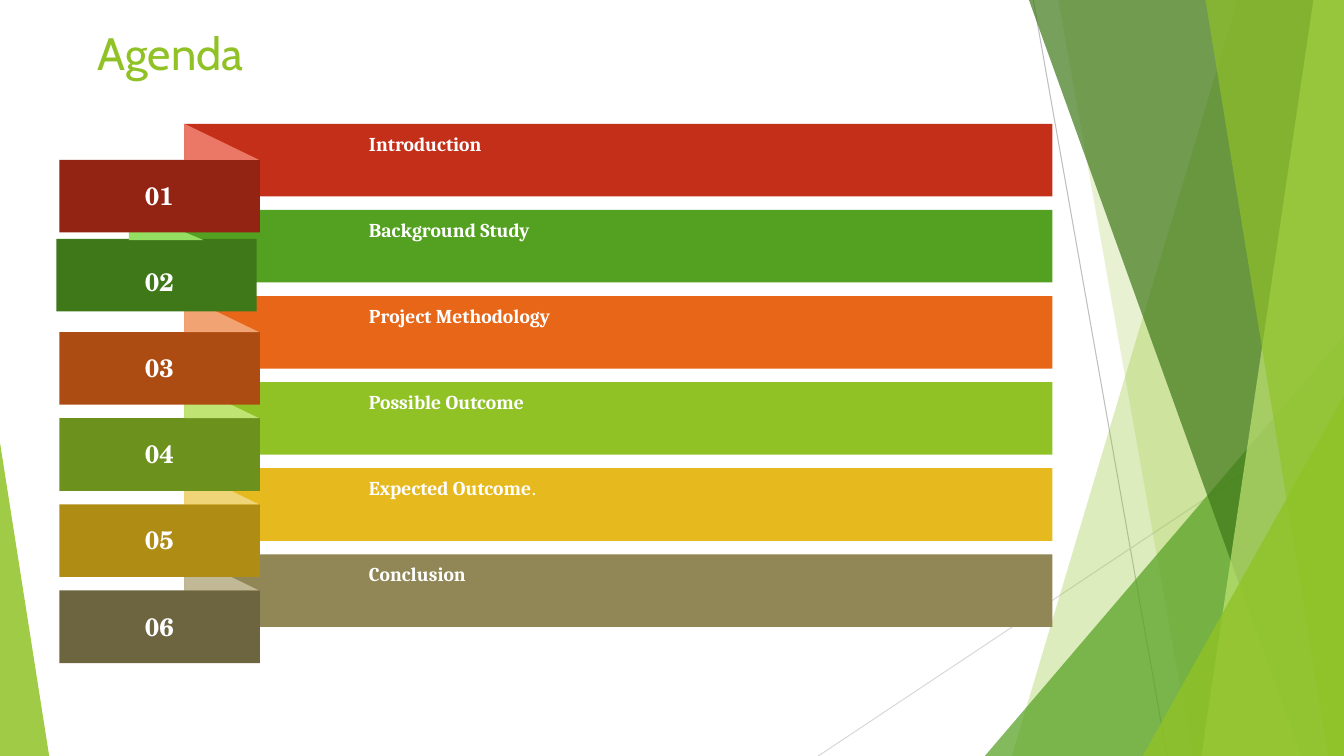
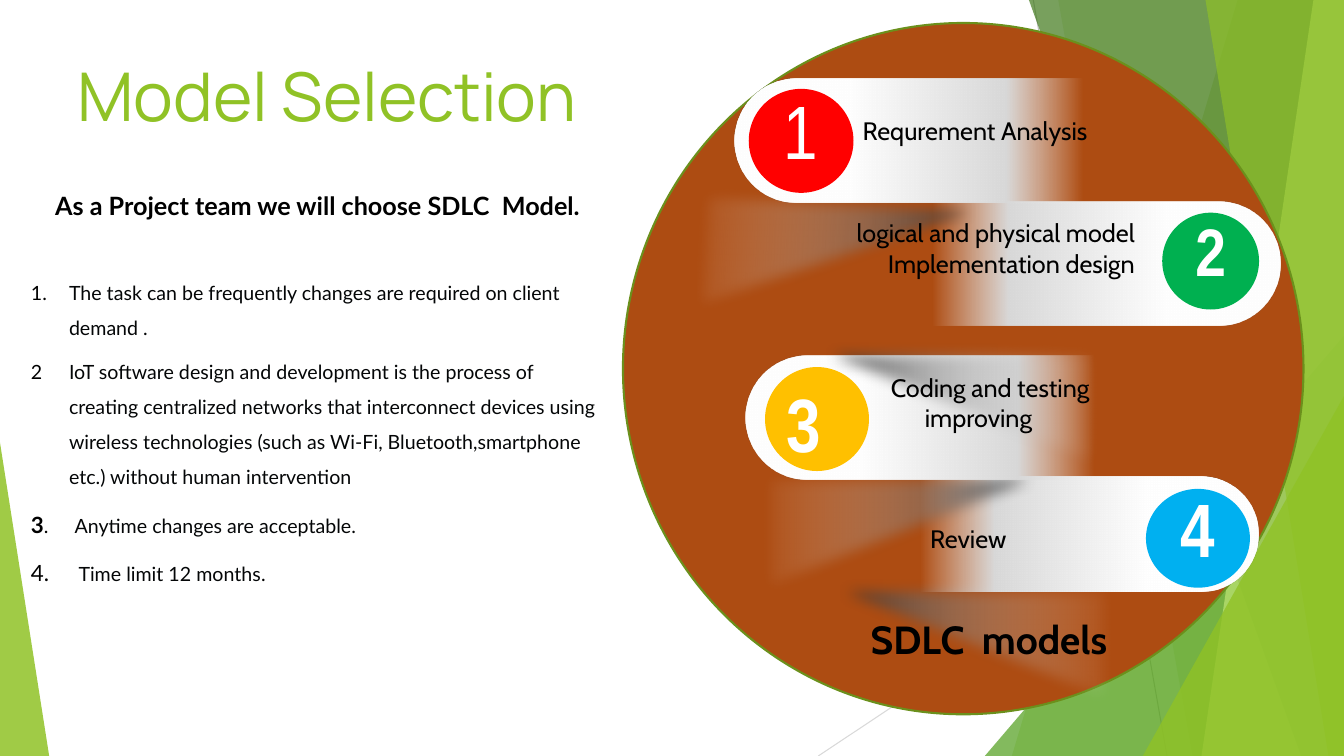
import pptx
import pptx.util
import pptx.oxml
import pptx.oxml.ns
import pptx.dml.color
import pptx.enum.shapes
import pptx.enum.text

Cm, Pt = pptx.util.Cm, pptx.util.Pt
SHAPE = pptx.enum.shapes.MSO_SHAPE
ALIGN = pptx.enum.text.PP_ALIGN
ANCHOR = pptx.enum.text.MSO_ANCHOR
qn = pptx.oxml.ns.qn
W, H = 33.87, 19.05

COLORS = {
    "lime": "90C226", "green": "54A021", "forest": "3F7819", "pale": "C0E474",
    "rust": "AD4C12", "olive": "6B901C", "white": "FFFFFF", "black": "000000",
    "ink": "040607", "grey": "BFBFBF", "light_grey": "D9D9D9", "mist": "F0F0F0",
    "red": "FF0000", "amber": "FFC000", "emerald": "00B050", "sky": "00B0F0",
}

# Shared backdrop: lines, then facets from back to front
RAYS = [(26.04, 0, 29.41, H, "grey"), (W, 10.24, 20.62, H, "light_grey")]
FACETS = [  # band: left x at top and bottom; triangle: box and apex
    ("band", (31.19, 25.5), "lime", 30),
    ("band", (26.67, 30.05), "lime", 20),
    ("triangle", (24.82, 8.46, 9.05, 10.59, 1), "green", 72),
    ("band", (25.93, 32.79), "forest", 70),
    ("band", (33.1, 30.28), "pale", 70),
    ("band", (30.38, 33.48), "lime", 65),
    ("triangle", (28.8, 9.98, 5.07, 9.07, 1), "lime", 80),
    ("triangle", (0, 11.15, 1.24, 7.9, 0), "lime", 85),
]

# Slide 1: label runs, bar, tab and fold colours
AGENDA = [
    ("Introduction", "C42F1A", "932313", "EB7766"),
    ("Background Study", "54A021", "3F7819", "94DE61"),
    ("Project Methodology", "E76618", "AD4C12", "F1A374"),
    ("Possible Outcome", "90C226", "6C921D", "C0E474"),
    ("Expected Outcome.", "E6B91E", "AF8C14", "F0D578"),
    ("Conclusion", "918655", "6D6540", "C1B995"),
]
ROW_TOP, ROW_PITCH, ROW_H = 3.12, 2.17, 1.83
TAB = (1.5, 0.91)  # left, offset from the bar top
FOLD = (4.65, 0, 1.88, 0.91)
SHIFTED = {1: ((1.42, 0.73), (3.25, -0.03, 1.88, 0.79))}

# Slide 2: steps of the model
STEPS = [
    {"pill": (18.52, 1.98, 8.76, 3.12), "side": "left", "shade": (17.37, 4.85, 3.2),
     "disc": (18.87, 2.24, 2.64, 2.62), "color": "red", "size": 54, "bold": False,
     "insets": (0, 0, 0, 0.56), "label": (21.49, 2.79, 8.28, 1.02),
     "lines": ["Requrement Analysis"]},
    {"pill": (23.5, 5.08, 8.76, 3.12), "side": "right", "shade": (18.92, 8.61, 0),
     "disc": (29.29, 5.36, 2.44, 2.44), "color": "emerald", "size": 48, "bold": True,
     "insets": (0, 0, 0, 0.56), "label": (20.62, 5.36, 8.23, 1.8), "align": ALIGN.RIGHT,
     "lines": ["logical and physical model", "Implementation design"]},
    {"pill": (18.8, 8.97, 8.76, 3.12), "side": "left", "shade": (19, 11.76, 0),
     "disc": (19.28, 9.25, 2.62, 2.62), "color": "amber", "size": 54, "bold": True,
     "insets": (0, 0.16, 0.66, 0), "label": (22.2, 9.25, 7.85, 1.8), "indent": 0.86,
     "lines": ["Coding and testing", "improving"]},
    {"pill": (23.19, 12.01, 8.53, 2.9), "side": "right", "shade": (19.28, 14.58, 0),
     "disc": (28.88, 12.32, 2.62, 2.49), "color": "sky", "size": 54, "bold": True,
     "insets": (0, 0, 0, 0.56), "label": (23.19, 13.06, 3.99, 1.02),
     "lines": ["Review"]},
]
PILL_STOPS = [(33, "white", 100), (78, "light_grey", 100), (100, "mist", 0)]
SHADE_STOPS = [(0, "white", 0), (95, "black", 100)]

BODY = {"name": "Lato", "size": 14, "color": "ink"}
MARK = BODY | {"size": 16, "color": "black"}
# Hanging indent, automatic number (type, start) and runs
REASONS = [
    (0.96, ("arabicPeriod", 1),
     [("The task can be frequently changes are required on client demand .", BODY)]),
    (0.96, ("arabicPlain", 2),
     [("IoT software design and development is the process of creating centralized "
       "networks that interconnect devices using wireless technologies (such as Wi-Fi, "
       "Bluetooth,smartphone etc.) without human intervention", BODY)]),
    (1.1, None, [("3", MARK | {"bold": True}), (".\t", BODY | {"color": "black"}),
                 ("Anytime changes are acceptable.", BODY)]),
    (1.2, None, [("4.\t", MARK), ("Time limit 12 months", BODY),
                 (".", BODY | {"color": "black"})]),
]


# Helpers
def rgb(color):
    return pptx.dml.color.RGBColor.from_string(COLORS.get(color, color))


def box(values):
    return [Cm(v) for v in values]


def add_run(p, text, fmt):
    r = p.add_run()
    r.text = text
    for key, value in fmt.items():
        if key == "color":
            r.font.color.rgb = rgb(value)
        else:
            setattr(r.font, key, Pt(value) if key == "size" else value)


def set_insets(tf, insets):
    for side, value in zip(("left", "top", "right", "bottom"), insets):
        setattr(tf, "margin_" + side, Cm(value))


def paint(sp, color, alpha=100):
    sp.shadow.inherit = False
    sp.line.fill.background()
    sp.fill.solid()
    sp.fill.fore_color.rgb = rgb(color)
    if alpha < 100:
        srgb = sp._element.spPr.find(".//" + qn("a:srgbClr"))
        srgb.makeelement(qn("a:alpha"))
        pptx.oxml.xmlchemy.OxmlElement  # element factory is loaded with pptx.oxml
        srgb.append(srgb.makeelement(qn("a:alpha"), {"val": str(alpha * 1000)}))
    return sp


def add_shape(s, kind, area, color, alpha=100):
    return paint(s.shapes.add_shape(kind, *box(area)), color, alpha)


def paint_gradient(sp, stops, angle):
    stop_xml = "".join(
        f'<a:gs pos="{pos * 1000}"><a:srgbClr val="{COLORS[color]}">'
        f'<a:alpha val="{alpha * 1000}"/></a:srgbClr></a:gs>'
        for pos, color, alpha in stops)
    grad = pptx.oxml.parse_xml(
        f'<a:gradFill {pptx.oxml.ns.nsdecls("a")} rotWithShape="1"><a:gsLst>{stop_xml}'
        f'</a:gsLst><a:lin ang="{angle * 60000}" scaled="0"/></a:gradFill>')
    spPr = sp._element.spPr
    spPr.replace(spPr.find(qn("a:solidFill")), grad)


def add_text(s, area, lines, fmt, align=ALIGN.LEFT, insets=None):
    tf = s.shapes.add_textbox(*box(area)).text_frame
    tf.word_wrap = True
    if insets:
        set_insets(tf, insets)
    for i, line in enumerate(lines):
        p = tf.paragraphs[0] if i == 0 else tf.add_paragraph()
        p.alignment = align
        add_run(p, line, fmt)
    return tf


def add_backdrop(s):
    for x1, y1, x2, y2, color in RAYS:
        ray = s.shapes.add_connector(pptx.enum.shapes.MSO_CONNECTOR.STRAIGHT,
                                     *box((x1, y1, x2, y2)))
        ray.line.color.rgb = rgb(color)
        ray.line.width = Pt(0.75)
        spPr = ray._element.spPr
        spPr.append(spPr.makeelement(qn("a:effectLst")))
    for kind, geometry, color, alpha in FACETS:
        if kind == "triangle":
            sp = add_shape(s, SHAPE.ISOSCELES_TRIANGLE, geometry[:4], color, alpha)
            sp.adjustments[0] = geometry[4]
        else:
            top, bottom = geometry
            outline = s.shapes.build_freeform(Cm(top), 0)
            outline.add_line_segments([box(pt) for pt in ((W, 0), (W, H), (bottom, H))])
            paint(outline.convert_to_shape(), color, alpha)


def new_slide(prs, title, area, fmt):
    s = prs.slides.add_slide(prs.slide_layouts[5])
    add_backdrop(s)
    sp = s.shapes.title
    sp.left, sp.top, sp.width, sp.height = box(area)
    tf = sp.text_frame
    tf.auto_size = pptx.enum.text.MSO_AUTO_SIZE.NONE
    tf.vertical_anchor = ANCHOR.MIDDLE
    p = tf.paragraphs[0]
    p.alignment = ALIGN.LEFT
    add_run(p, title, {"color": "lime"} | fmt)
    return s


# Slide 1
def build_agenda(prs):
    s = new_slide(prs, "Agenda", (2.21, 0.36, 23.57, 1.93), {"name": "Cabin", "size": 32.4})
    label_fmt = {"name": "Cambria", "size": 14, "color": "white", "bold": True}
    number_fmt = label_fmt | {"name": "TeX Gyre Schola", "size": 18}
    for i, (label, bar, tab, fold) in reversed(list(enumerate(AGENDA))):
        y = ROW_TOP + i * ROW_PITCH
        (tab_x, tab_dy), (fold_x, fold_dy, fold_w, fold_h) = SHIFTED.get(i, (TAB, FOLD))
        add_shape(s, SHAPE.RECTANGLE, (4.65, y, 21.87, ROW_H), bar)
        add_shape(s, SHAPE.RECTANGLE, (tab_x, y + tab_dy, 5.05, ROW_H), tab)
        add_shape(s, SHAPE.RIGHT_TRIANGLE, (fold_x, y + fold_dy, fold_w, fold_h), fold)
        add_text(s, (2.72, y + 1.3, 2.59, 1.02), [f"{i + 1:02}"], number_fmt, ALIGN.CENTER)
        tf = add_text(s, (9.3, y + 0.2, 15.44, 0.6), [label.rstrip(".")], label_fmt,
                      insets=(0, 0, 0, 0))
        if label.endswith("."):
            add_run(tf.paragraphs[0], ".", label_fmt | {"name": "TeX Gyre Schola", "bold": False})


# Slide 2
def add_shade(s, left, top, rotation, side):
    sp = add_shape(s, SHAPE.RIGHT_TRIANGLE, (left, top, 8.99, 3.63), "black")
    paint_gradient(sp, SHADE_STOPS, 0)
    sp.rotation = rotation
    xfrm = sp._element.spPr.find(qn("a:xfrm"))
    xfrm.set("flipV", "1")
    if side == "right":
        xfrm.set("flipH", "1")
    effects = sp._element.spPr.find(qn("a:effectLst"))
    effects.append(effects.makeelement(qn("a:softEdge"), {"rad": str(Pt(10))}))


def add_pill(s, area, side):
    x, y, length, depth = area
    upright = (x + (length - depth) / 2, y - (length - depth) / 2, depth, length)
    sp = add_shape(s, SHAPE.ROUND_2_SAME_RECTANGLE, upright, "white")
    sp.adjustments[0], sp.adjustments[1] = 0.5, 0
    sp.rotation = 270 if side == "left" else 90
    paint_gradient(sp, PILL_STOPS, 90)


def add_reasons(s):
    tf = add_text(s, (0.53, 6.65, 14.91, 8.33), [], BODY)
    for i, (hang, number, runs) in enumerate(REASONS):
        p = tf.paragraphs[0] if i == 0 else tf.add_paragraph()
        p.line_spacing = 1.5
        if i:
            p.space_before = Pt(6)
        pPr = p._p.get_or_add_pPr()
        pPr.set("marL", str(Cm(hang)))
        pPr.set("indent", str(-Cm(hang)))
        if number:
            kind, start = number
            tint = pPr.makeelement(qn("a:buClr"))
            tint.append(tint.makeelement(qn("a:srgbClr"), {"val": COLORS["black"]}))
            pPr.append(tint)
            pPr.append(pPr.makeelement(qn("a:buAutoNum"),
                                       {"type": kind, "startAt": str(start)}))
        for text, fmt in runs:
            add_run(p, text, fmt)


def build_model(prs):
    s = new_slide(prs, "Model Selection", (1.7, 1.22, 14, 2.31), {"name": "Manrope", "size": 48})
    disc = add_shape(s, SHAPE.OVAL, (15.7, 0.58, 17.15, 17.42), "rust")
    disc.line.color.rgb = rgb("olive")
    disc.line.width = Pt(1.5)
    # The shade under a pill lies behind it
    for step in reversed(STEPS):
        add_shade(s, *step["shade"], "left" if step in STEPS[::2][:1] + STEPS[2:3] else "right")
        add_pill(s, step["pill"], step["side"])
    label_fmt = {"name": "Cabin", "size": 18, "color": "black"}
    for i, step in enumerate(STEPS, 1):
        sp = add_shape(s, SHAPE.OVAL, step["disc"], step["color"])
        tf = sp.text_frame
        tf.vertical_anchor = ANCHOR.MIDDLE
        set_insets(tf, step["insets"])
        p = tf.paragraphs[0]
        p.alignment = ALIGN.CENTER
        add_run(p, str(i), {"name": "Arial Narrow", "size": step["size"],
                            "bold": step["bold"], "color": "white"})
        tf = add_text(s, step["label"], step["lines"], label_fmt, step.get("align", ALIGN.LEFT))
        if "indent" in step:
            tf.paragraphs[-1]._p.get_or_add_pPr().set("marL", str(Cm(step["indent"])))
    add_text(s, (21.69, 15.39, 8.36, 1.45), ["SDLC  models"],
             label_fmt | {"size": 28, "bold": True})
    tf = add_text(s, (1.14, 4.29, 14.4, 1.3), ["As a Project team we will choose SDLC  Model."],
                  {"name": "Lato", "size": 18, "color": "black", "bold": True})
    tf.paragraphs[0].line_spacing = 1.5
    add_reasons(s)


def main():
    prs = pptx.Presentation()
    prs.slide_width, prs.slide_height = Cm(W), Cm(H)
    build_agenda(prs)
    build_model(prs)
    prs.save("out.pptx")


if __name__ == "__main__":
    main()
